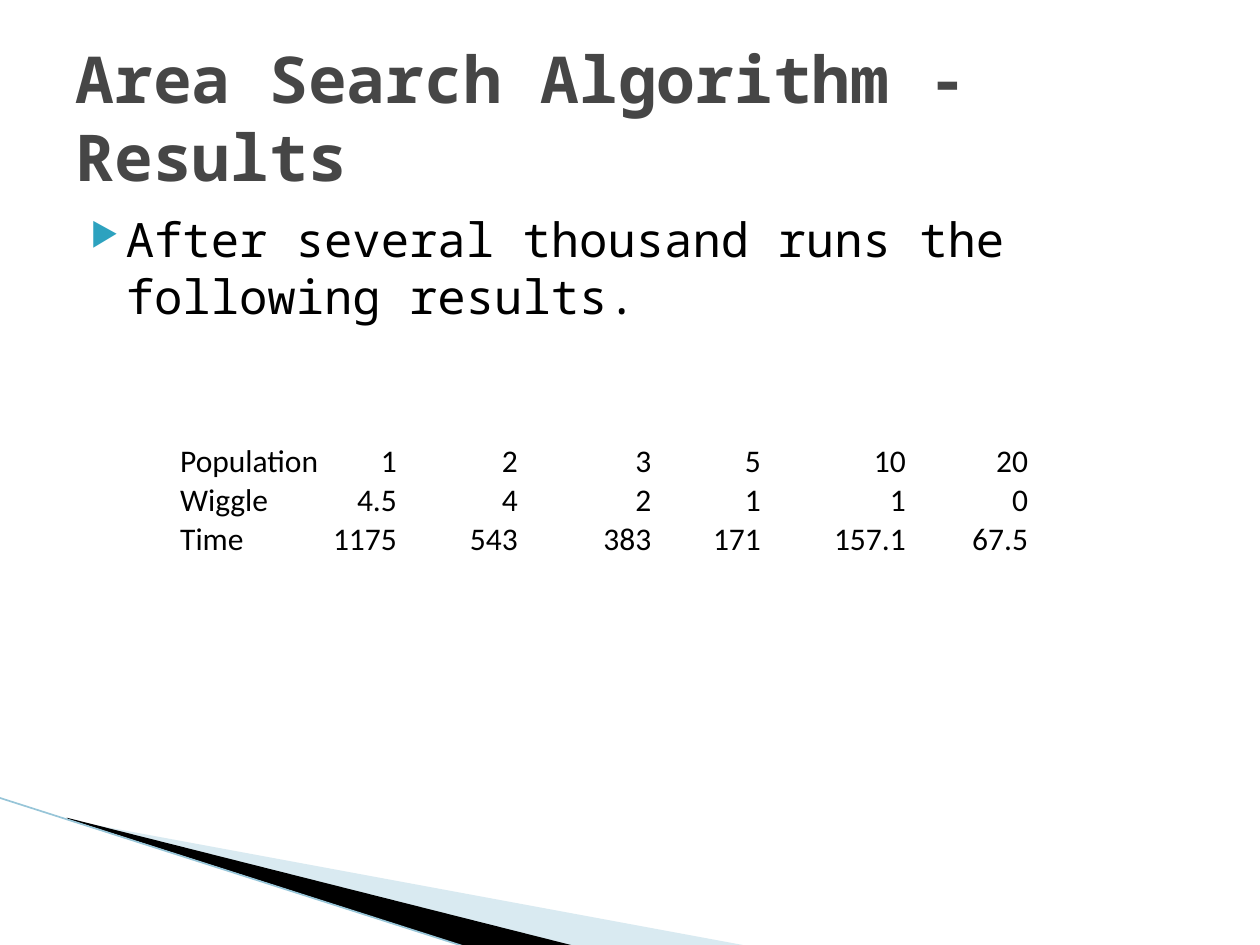
from dataclasses import dataclass
from pptx import Presentation
from pptx.dml.color import RGBColor
from pptx.enum.shapes import MSO_CONNECTOR as Connector
from pptx.enum.text import MSO_ANCHOR as Anchor, PP_ALIGN as Align
from pptx.oxml.ns import qn
from pptx.util import Inches, Pt
from lxml.etree import SubElement

TITLE = "Area Search Algorithm - Results"
BODY = "After several thousand runs the following results."
RESULTS = [
    ("Population", "1", "2", "3", "5", "10", "20"),
    ("Wiggle", "4.5", "4", "2", "1", "1", "0"),
    ("Time", "1175", "543", "383", "171", "157.1", "67.5"),
]
COLUMN_WIDTHS = (1.17, 0.57, 0.96, 1.06, 0.87, 1.15, 0.97)
ROW_HEIGHT = 0.31


@dataclass(frozen=True)
class Theme:
    mono: str = "Noto Sans Mono"
    sans: str = "Calibri"
    black: str = "000000"
    title: str = "464646"
    bullet: str = "2DA2BF"
    wedge: str = "A0CBDC"
    edge: str = "97C5D8"
    title_size: float = 36.9
    body_size: float = 27
    table_size: float = 18


theme = Theme()
WEDGES = [
    ([(0.55, 6.51), (5.95, 7.51), (4.56, 7.51), (0.55, 6.5)], theme.wedge, 40),
    ([(0.53, 6.49), (4.57, 7.51), (3.72, 7.52), (0.54, 6.5)], theme.black, 100),
]
EDGE = (-0.01, 6.33, 3.71, 7.52)


def apply(target, **values):
    for name, value in values.items():
        setattr(target, name, value)


def place(shape, left, top, width, height):
    apply(shape, left=Inches(left), top=Inches(top), width=Inches(width), height=Inches(height))


def write(frame, text, font, size, color, bold=False, align=Align.LEFT):
    paragraph = frame.paragraphs[0]
    paragraph.alignment = align
    run = paragraph.add_run()
    run.text = text
    apply(run.font, name=font, size=Pt(size), bold=bold)
    run.font.color.rgb = RGBColor.from_string(color)
    return paragraph


def add_wedge(slide, points, color, alpha):
    builder = slide.shapes.build_freeform(*map(Inches, points[0]), scale=1.0)
    builder.add_line_segments([tuple(map(Inches, point)) for point in points[1:]], close=True)
    shape = builder.convert_to_shape()
    shape.shadow.inherit = False
    shape.fill.solid()
    shape.fill.fore_color.rgb = RGBColor.from_string(color)
    shape.line.fill.background()
    if alpha < 100:
        fill_color = next(shape.fill._xPr.iter(qn("a:srgbClr")))
        SubElement(fill_color, qn("a:alpha"), val=str(alpha * 1000))


def add_edge(slide):
    connector = slide.shapes.add_connector(Connector.STRAIGHT, *map(Inches, EDGE))
    connector.line.color.rgb = RGBColor.from_string(theme.edge)
    connector.line.width = Pt(0.95)
    SubElement(connector._element.spPr, qn("a:effectLst"))


def add_body(slide):
    box = slide.shapes.add_textbox(0, 0, 0, 0)
    place(box, 0.5, 1.62, 9, 4.95)
    box.text_frame.word_wrap = True
    paragraph = write(box.text_frame, BODY, theme.mono, theme.body_size, theme.black)
    paragraph.space_before = Pt(4)
    properties = paragraph._p.get_or_add_pPr()
    properties.set("marL", str(Inches(0.4)))
    properties.set("indent", str(Inches(-0.28)))
    bullet_color = SubElement(properties, qn("a:buClr"))
    SubElement(bullet_color, qn("a:srgbClr"), val=theme.bullet)
    SubElement(properties, qn("a:buSzPct"), val="68000")
    SubElement(properties, qn("a:buChar"), char="▶")


def add_title(slide):
    title = slide.shapes.title
    place(title, 0.5, 0.3, 9, 1.25)
    apply(title.text_frame, word_wrap=True, vertical_anchor=Anchor.MIDDLE)
    write(title.text_frame, TITLE, theme.mono, theme.title_size, theme.title, bold=True)


def add_results(slide):
    size = (sum(COLUMN_WIDTHS), ROW_HEIGHT * len(RESULTS))
    frame = slide.shapes.add_table(len(RESULTS), len(COLUMN_WIDTHS),
                                   *map(Inches, (1.42, 3.5, *size)))
    table = frame.table
    apply(table, first_row=False, horz_banding=False)
    for column, width in zip(table.columns, COLUMN_WIDTHS):
        column.width = Inches(width)
    margins = dict(margin_left=Inches(0.01), margin_right=Inches(0.01),
                   margin_top=Inches(0.01), margin_bottom=0)
    for row_index, values in enumerate(RESULTS):
        table.rows[row_index].height = Inches(ROW_HEIGHT)
        for column_index, value in enumerate(values):
            cell = table.cell(row_index, column_index)
            apply(cell, vertical_anchor=Anchor.BOTTOM, **margins)
            write(cell.text_frame, value, theme.sans, theme.table_size, theme.black,
                  align=Align.RIGHT if column_index else Align.LEFT)
            properties = cell._tc.get_or_add_tcPr()
            for side in ("a:lnL", "a:lnR", "a:lnT", "a:lnB"):
                SubElement(SubElement(properties, qn(side), w="0"), qn("a:noFill"))
            cell.fill.background()


def main():
    presentation = Presentation()
    apply(presentation, slide_width=Inches(10), slide_height=Inches(7.5))
    slide = presentation.slides.add_slide(presentation.slide_layouts[5])
    for wedge in WEDGES:
        add_wedge(slide, *wedge)
    add_edge(slide)
    add_body(slide)
    add_title(slide)
    add_results(slide)
    presentation.save("out.pptx")


if __name__ == "__main__":
    main()
